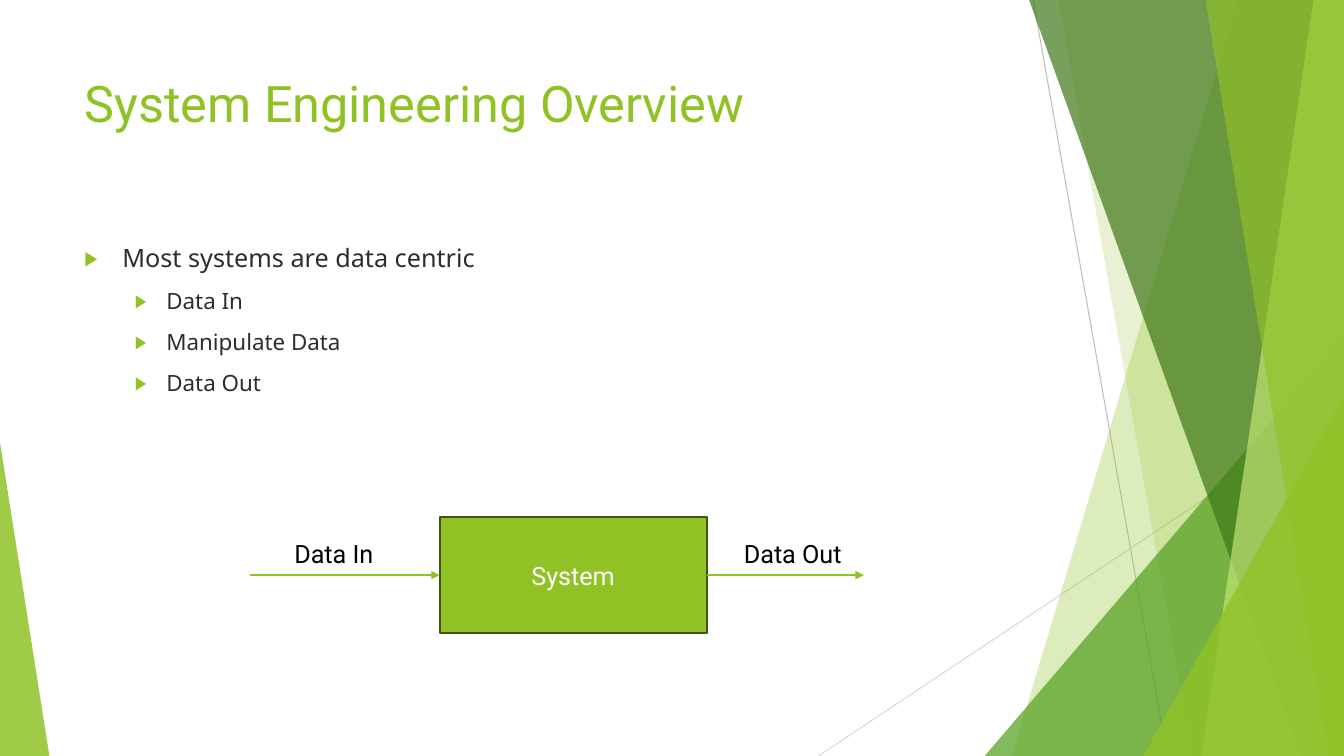
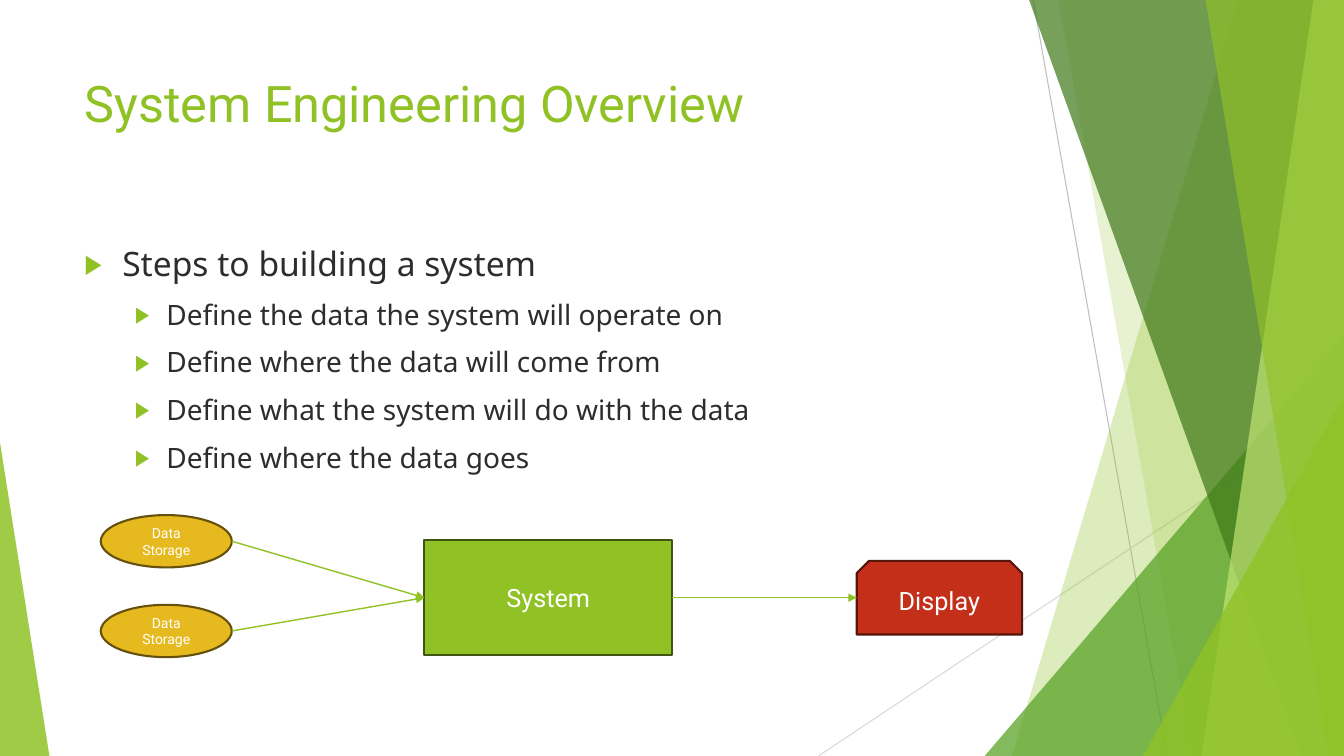
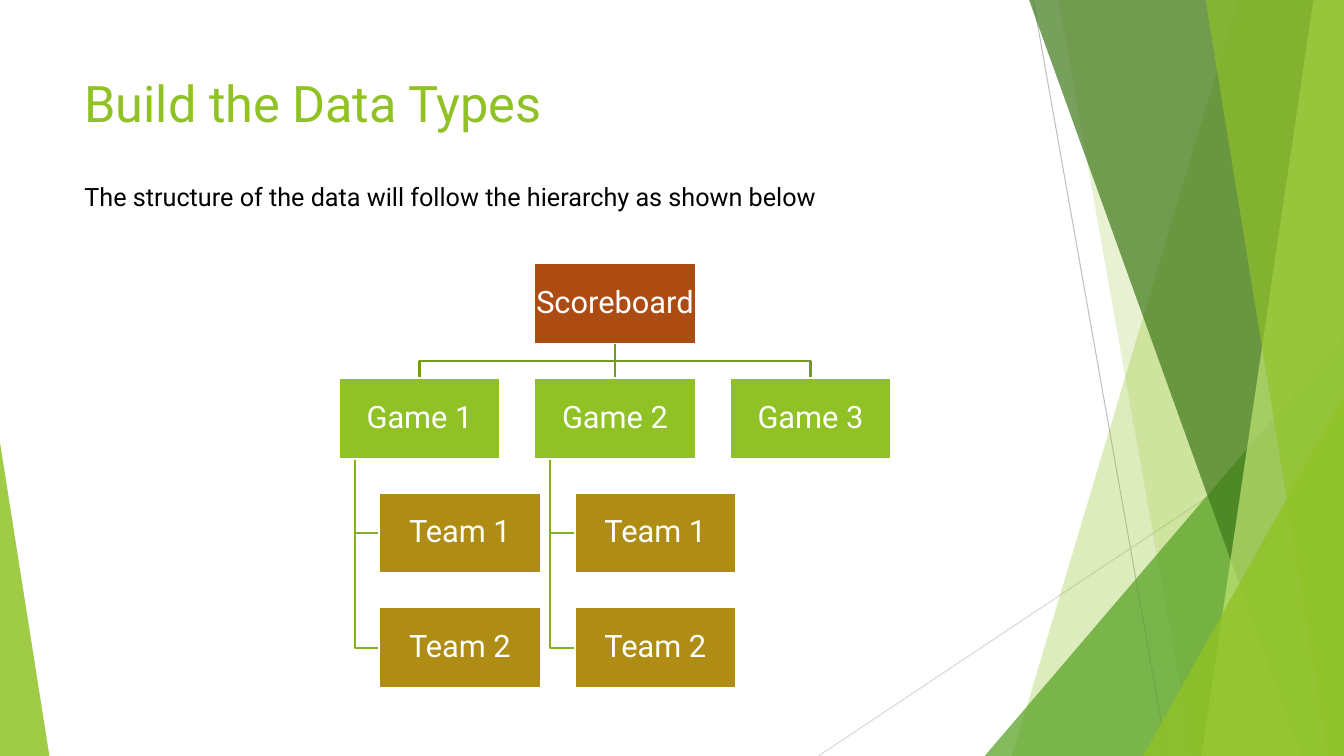
from lxml.etree import SubElement
from pptx import Presentation
from pptx.dml.color import RGBColor
from pptx.enum.shapes import MSO_CONNECTOR, MSO_SHAPE as Preset
from pptx.enum.text import MSO_ANCHOR as Anchor, PP_ALIGN as Align
from pptx.oxml.ns import qn
from pptx.util import Pt

SLIDE_W, SLIDE_H = 960, 540
HEAD_FONT, BODY_FONT = "Roboto", "Noto Sans"
GREEN, LEAF, FOREST, LIME = "90C226", "54A021", "3F7819", "C0E474"
WHITE, BLACK, INK = "FFFFFF", "000000", "2D2D2D"
GOLD, RED, RUST, OCHRE = "E6B91E", "C42F1A", "AD4C12", "AF8C14"
GREEN_EDGE, GOLD_EDGE, RED_EDGE = "3F5511", "65510D", "56150B"
TRUNK, BRANCH = "739B1E", "83B022"
TITLE_BOX = (53.3, 48.2, 676.8, 103.7)
BODY_BOX = (53.3, 169.9, 676.8, 305.3)


def rgb(hex_color):
    return RGBColor.from_string(hex_color)


def style_runs(paragraph, size, color, font=HEAD_FONT):
    for run in paragraph.runs:
        run.font.size = Pt(size)
        run.font.name = font
        run.font.color.rgb = rgb(color)


def paint(shape, fill=None, edge=None, weight=1.5, opacity=100):
    """Set fill, outline and opacity (percent), and drop the shadow."""
    shape.shadow.inherit = False
    if fill:
        shape.fill.solid()
        shape.fill.fore_color.rgb = rgb(fill)
        if opacity < 100:
            tint = shape.element.spPr.find(".//" + qn("a:srgbClr"))
            SubElement(tint, qn("a:alpha"), val=str(opacity * 1000))
    else:
        shape.fill.background()
    if edge:
        shape.line.color.rgb = rgb(edge)
        shape.line.width = Pt(weight)
    else:
        shape.line.fill.background()


def add_preset(slide, preset, box, fill, edge=None, opacity=100):
    shape = slide.shapes.add_shape(preset, *map(Pt, box))
    paint(shape, fill, edge, opacity=opacity)
    return shape


def add_node(slide, preset, box, text, fill, edge, size=18):
    """Add a filled shape with centred white text."""
    node = add_preset(slide, preset, box, fill, edge)
    frame = node.text_frame
    frame.word_wrap = True
    frame.vertical_anchor = Anchor.MIDDLE
    frame.text = text
    frame.paragraphs[0].alignment = Align.CENTER
    style_runs(frame.paragraphs[0], size, WHITE)
    return node


def add_path(slide, points, closed=False):
    (x, y), *rest = [(Pt(px), Pt(py)) for px, py in points]
    builder = slide.shapes.build_freeform(x, y)
    builder.add_line_segments(rest, close=closed)
    return builder.convert_to_shape()


def add_line(slide, start, end, color=GREEN, weight=1, arrow=False):
    line = slide.shapes.add_connector(
        MSO_CONNECTOR.STRAIGHT, *map(Pt, (*start, *end)))
    line.line.color.rgb = rgb(color)
    line.line.width = Pt(weight)
    properties = line.element.spPr
    if arrow:
        SubElement(properties.find(qn("a:ln")), qn("a:tailEnd"), type="triangle")
    SubElement(properties, qn("a:effectLst"))
    return line


def add_label(slide, box, text, size, color, wrap=False):
    frame = slide.shapes.add_textbox(*map(Pt, box)).text_frame
    frame.word_wrap = wrap
    frame.text = text
    style_runs(frame.paragraphs[0], size, color)


def add_backdrop(slide):
    add_line(slide, (738, 0), (833.8, SLIDE_H), "BFBFBF", 0.75)
    add_line(slide, (SLIDE_W, 290.2), (584.6, SLIDE_H), "D9D9D9", 0.75)

    def band(top_x, bottom_x, color, opacity):
        """Fill from a slanted left edge to the right side of the slide."""
        corners = [(top_x, 0), (SLIDE_W, 0), (SLIDE_W, SLIDE_H), (bottom_x, SLIDE_H)]
        paint(add_path(slide, corners, closed=True), color, opacity=opacity)

    def wedge(left, top, right, apex, color, opacity):
        """Stand a right triangle on the bottom; apex 0 is left, 1 right."""
        box = (left, top, right - left, SLIDE_H - top)
        corner = add_preset(slide, Preset.ISOSCELES_TRIANGLE, box, color,
                            opacity=opacity)
        corner.adjustments[0] = apex

    band(884.2, 722.9, GREEN, 30)
    band(756, 851.8, GREEN, 20)
    wedge(703.4, 239.8, SLIDE_W, 1, LEAF, 72)
    band(735.1, 929.5, FOREST, 70)
    band(938.2, 858.2, LIME, 70)
    band(861.1, 949, GREEN, 65)
    wedge(816.5, 283, SLIDE_W, 1, GREEN, 80)
    wedge(0, 316.1, 35.3, 0, GREEN, 85)


def add_bullets(slide, box, heading, points, heading_size, point_size):
    frame = slide.shapes.add_textbox(*map(Pt, box)).text_frame
    frame.word_wrap = True
    frame.text = "\n".join([heading, *points])
    for index, paragraph in enumerate(frame.paragraphs):
        level = 1 if index else 0
        margin, hanging = ((27, 27), (58.5, 22.5))[level]
        paragraph.level = level
        paragraph.space_before = Pt(10)
        style_runs(paragraph, point_size if level else heading_size, INK, BODY_FONT)
        properties = paragraph._p.get_or_add_pPr()
        properties.set("marL", str(Pt(margin)))
        properties.set("indent", str(-Pt(hanging)))
        bullet_color = SubElement(properties, qn("a:buClr"))
        SubElement(bullet_color, qn("a:srgbClr"), val=GREEN)
        SubElement(properties, qn("a:buSzPct"), val="80000")
        SubElement(properties, qn("a:buFont"), typeface=BODY_FONT)
        SubElement(properties, qn("a:buChar"), char="▶")


def add_data_flow(slide, left, top, width, height):
    """Draw one system with data entering and leaving it."""
    system_left, system_w = left + 135.4, 190.8
    middle = top + height / 2
    system = add_node(slide, Preset.RECTANGLE, (system_left, top, system_w, height),
                      "System", GREEN, GREEN_EDGE)
    flow_in = add_line(slide, (left, middle), (system_left, middle), arrow=True)
    flow_in.end_connect(system, 1)
    flow_out = add_line(slide, (system_left + system_w, middle),
                        (left + width, middle), arrow=True)
    flow_out.begin_connect(system, 3)
    add_label(slide, (left + 24.5, top + 11.5, 72.7, 29), "Data In", 18, BLACK)
    add_label(slide, (left + 345.6, top + 11.5, 87.1, 29), "Data Out", 18, BLACK)


def add_storage_flow(slide, left, top, width, height):
    """Draw two data stores feeding a system that drives a display."""
    store_w, store_h = 93.6, 37.4
    system_left, system_top, system_w, system_h = left + 231.1, top + 18, 177.1, 82.1
    display_w, display_h = 118.1, 52.6
    display_left = left + width - display_w
    middle = system_top + system_h / 2
    system = add_node(slide, Preset.RECTANGLE,
                      (system_left, system_top, system_w, system_h),
                      "System", GREEN, GREEN_EDGE)
    for store_top in (top, top + height - store_h):
        add_node(slide, Preset.OVAL, (left, store_top, store_w, store_h),
                 "Data Storage", GOLD, GOLD_EDGE, size=10)
        feed = add_line(slide, (left + store_w, store_top + store_h / 2),
                        (system_left, middle), arrow=True)
        feed.end_connect(system, 1)
    add_node(slide, Preset.SNIP_2_SAME_RECTANGLE,
             (display_left, middle - display_h / 2, display_w, display_h),
             "Display", RED, RED_EDGE)
    output = add_line(slide, (system_left + system_w, middle),
                      (display_left, middle), arrow=True)
    output.begin_connect(system, 3)


def add_hierarchy(slide, left, top, width, root, games):
    """Draw a root above a row of games, each with its teams hanging below."""
    gap = 0.21
    node_w = width / (len(games) + gap * (len(games) - 1))
    node_h = node_w / 2
    step_x, step_y = node_w * (1 + gap), node_h + node_w * gap
    indent, stem = node_w * 0.25, node_w * 0.1
    root_left = left + (width - node_w) / 2
    root_x, root_bottom = root_left + node_w / 2, top + node_h
    game_top = top + step_y
    fork_y = (root_bottom + game_top) / 2

    def tree_node(node_left, node_top, text, fill):
        node = add_node(slide, Preset.RECTANGLE, (node_left, node_top, node_w, node_h),
                        text, fill, WHITE, size=22)
        frame = node.text_frame
        frame.word_wrap = False
        frame.margin_left = frame.margin_right = Pt(1.44)
        frame.margin_top = frame.margin_bottom = Pt(1.44)
        frame.paragraphs[0].line_spacing = 0.9
        return node

    trunk = add_line(slide, (root_x, root_bottom), (root_x, game_top), TRUNK, 1.5)
    root_node = tree_node(root_left, top, root, RUST)
    trunk.begin_connect(root_node, 2)
    for column, (game, teams) in enumerate(games):
        game_left = left + column * step_x
        game_x = game_left + node_w / 2
        is_middle = column == len(games) // 2
        if not is_middle:
            paint(add_path(slide, [(root_x, root_bottom), (root_x, fork_y),
                                   (game_x, fork_y), (game_x, game_top)]), edge=TRUNK)
        for row, team in enumerate(teams, 1):
            team_left, team_top = game_left + indent, game_top + row * step_y
            stem_x, team_y = game_left + stem, team_top + node_h / 2
            paint(add_path(slide, [(stem_x, game_top + node_h), (stem_x, team_y),
                                   (team_left, team_y)]), edge=BRANCH)
            tree_node(team_left, team_top, team, OCHRE)
        game_node = tree_node(game_left, game_top, game, GREEN)
        if is_middle:
            trunk.end_connect(game_node, 0)


def add_titled_slide(deck, title):
    slide = deck.slides.add_slide(deck.slide_layouts[6])
    add_backdrop(slide)
    add_label(slide, TITLE_BOX, title, 36, GREEN, wrap=True)
    return slide


def main():
    deck = Presentation()
    deck.slide_width, deck.slide_height = Pt(SLIDE_W), Pt(SLIDE_H)

    overview = add_titled_slide(deck, "System Engineering Overview")
    add_bullets(overview, BODY_BOX, "Most systems are data centric",
                ["Data In", "Manipulate Data", "Data Out"], 18, 16)
    add_data_flow(overview, 178.6, 369.4, 438.4, 82.8)

    steps = add_titled_slide(deck, "System Engineering Overview")
    add_bullets(steps, BODY_BOX, "Steps to building a system",
                ["Define the data the system will operate on",
                 "Define where the data will come from",
                 "Define what the system will do with the data",
                 "Define where the data goes"], 24, 20)
    add_storage_flow(steps, 72, 367.9, 658.1, 101.5)

    data_types = add_titled_slide(deck, "Build the Data Types")
    teams = ["Team 1", "Team 2"]
    add_hierarchy(data_types, 242, 188, 394.6, "Scoreboard",
                  [("Game 1", teams), ("Game 2", teams), ("Game 3", [])])
    add_label(data_types, (53.3, 126, 558.7, 29),
              "The structure of the data will follow the hierarchy as shown below",
              18, BLACK)

    deck.save("out.pptx")


if __name__ == "__main__":
    main()
